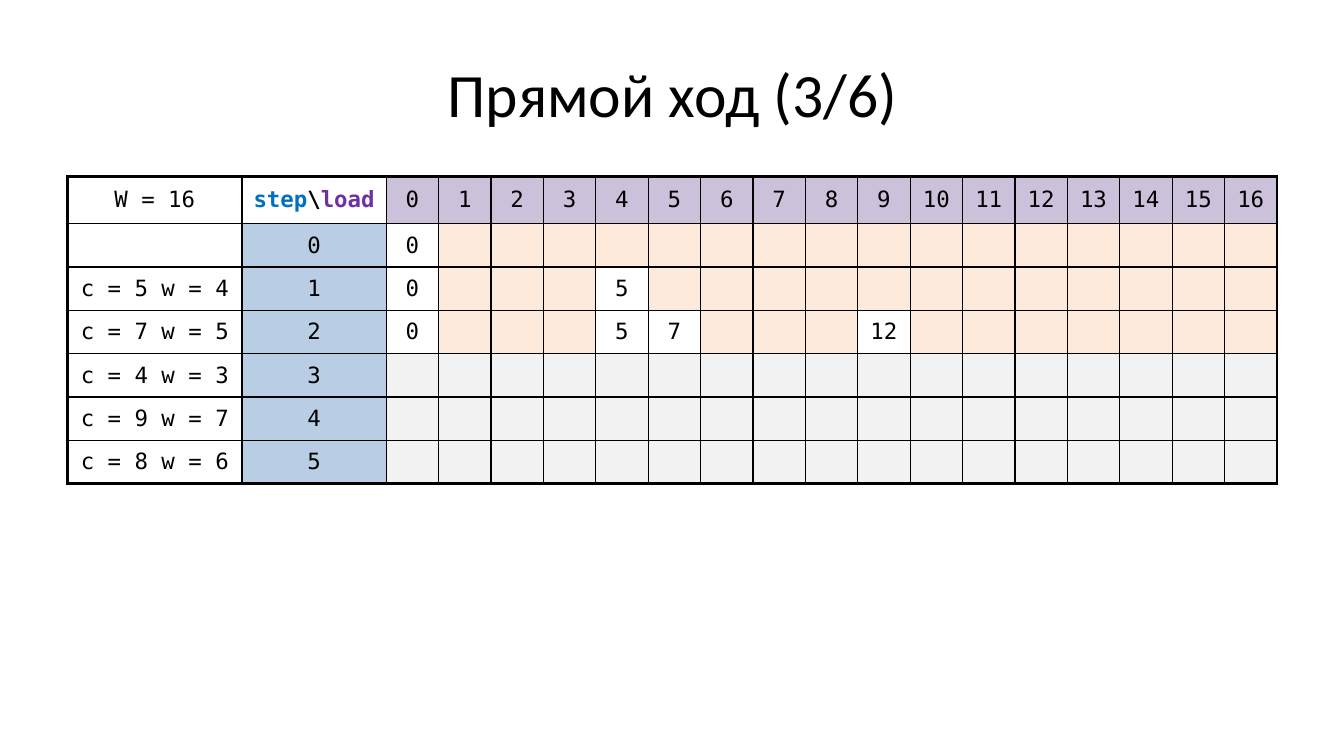
from lxml import etree
from pptx import Presentation
from pptx import util as u
from pptx.dml.color import RGBColor
from pptx.enum import text
from pptx.oxml.ns import qn

COLORS = {
    "ink": "000000",
    "step": "0070C0",
    "load": "7030A0",
    "load_header": "CCC1DA",
    "step_header": "B9CDE5",
    "unreachable": "FDEADA",
    "pending": "F2F2F2",
}
TITLE_FONT = "Calibri"
TABLE_FONT = "DejaVu Sans Mono"
CAPACITY = 16
ITEMS = [(5, 4), (7, 5), (4, 3), (9, 7), (8, 6)]
REACHED = [{0: 0}, {0: 0, 4: 5}, {0: 0, 4: 5, 5: 7, 9: 12}]
LABEL_COLUMNS = [1.73, 1.43]
LOAD_COLUMN = 0.52
HEADER_ROW, STEP_ROW = 0.47, 0.43
THIN, THICK = 1, 2.25


def add_span(para, words, font, size, color="ink", bold=False):
    span = para.add_run()
    span.text = words
    span.font.name = font
    span.font.size = u.Pt(size)
    span.font.bold = bold
    span.font.color.rgb = RGBColor.from_string(COLORS[color])


def add_title(slide, words, left, top, width, height):
    title = slide.shapes.title
    title.left, title.top = u.Inches(left), u.Inches(top)
    title.width, title.height = u.Inches(width), u.Inches(height)
    title.text_frame.vertical_anchor = text.MSO_ANCHOR.MIDDLE
    para = title.text_frame.paragraphs[0]
    para.alignment = text.PP_ALIGN.CENTER
    add_span(para, words, TITLE_FONT, 44)


def set_borders(cell, widths):
    properties = cell._tc.get_or_add_tcPr()
    for side, width in widths.items():
        line = etree.SubElement(properties, qn(f"a:ln{side}"), w=str(u.Pt(width)))
        fill = etree.SubElement(line, qn("a:solidFill"))
        etree.SubElement(fill, qn("a:srgbClr"), val=COLORS["ink"])


def cell_content(row, column):
    step, load = row - 1, column - 2
    if row == 0:
        if column == 0:
            return [(f"W = {CAPACITY}", "ink", False)], None
        if column == 1:
            return [("step", "step", True), ("\\", "ink", True), ("load", "load", True)], None
        return [(str(load), "ink", False)], "load_header"
    if column == 0:
        if step == 0:
            return [], None
        cost, weight = ITEMS[step - 1]
        return [(f"c = {cost} w = {weight}", "ink", False)], None
    if column == 1:
        return [(str(step), "ink", False)], "step_header"
    if step >= len(REACHED):
        return [], "pending"
    if load in REACHED[step]:
        return [(str(REACHED[step][load]), "ink", False)], None
    return [], "unreachable"


def format_cell(cell, spans, fill, borders):
    set_borders(cell, borders)
    if fill:
        cell.fill.solid()
        cell.fill.fore_color.rgb = RGBColor.from_string(COLORS[fill])
    else:
        cell.fill.background()
    cell.vertical_anchor = text.MSO_ANCHOR.MIDDLE
    cell.margin_left = cell.margin_right = u.Inches(0.11)
    para = cell.text_frame.paragraphs[0]
    para.alignment = text.PP_ALIGN.CENTER
    for words, color, bold in spans:
        add_span(para, words, TABLE_FONT, 16, color, bold)


def add_load_table(slide, left, top):
    widths = LABEL_COLUMNS + [LOAD_COLUMN] * (CAPACITY + 1)
    heights = [HEADER_ROW] + [STEP_ROW] * (len(ITEMS) + 1)
    frame = slide.shapes.add_table(
        len(heights), len(widths), u.Inches(left), u.Inches(top),
        u.Inches(sum(widths)), u.Inches(sum(heights)))
    table = frame.table
    table.first_row = table.horz_banding = False
    for column, width in zip(table.columns, widths):
        column.width = u.Inches(width)
    last_row, last_column = len(heights) - 1, len(widths) - 1
    for row, height in enumerate(heights):
        table.rows[row].height = u.Inches(height)
        for column in range(len(widths)):
            borders = {
                "L": THICK if column == 0 else THIN,
                "R": THICK if column == last_column else THIN,
                "T": THICK if row == 0 else THIN,
                "B": THICK if row == last_row else THIN,
            }
            spans, fill = cell_content(row, column)
            format_cell(table.cell(row, column), spans, fill, borders)


def main():
    deck = Presentation()
    deck.slide_width, deck.slide_height = u.Inches(13.33), u.Inches(7.5)
    slide = deck.slides.add_slide(deck.slide_layouts[5])
    add_title(slide, "Прямой ход (3/6)", 0.67, 0.3, 12, 1.25)
    add_load_table(slide, 0.67, 1.75)
    deck.save("out.pptx")


if __name__ == "__main__":
    main()
